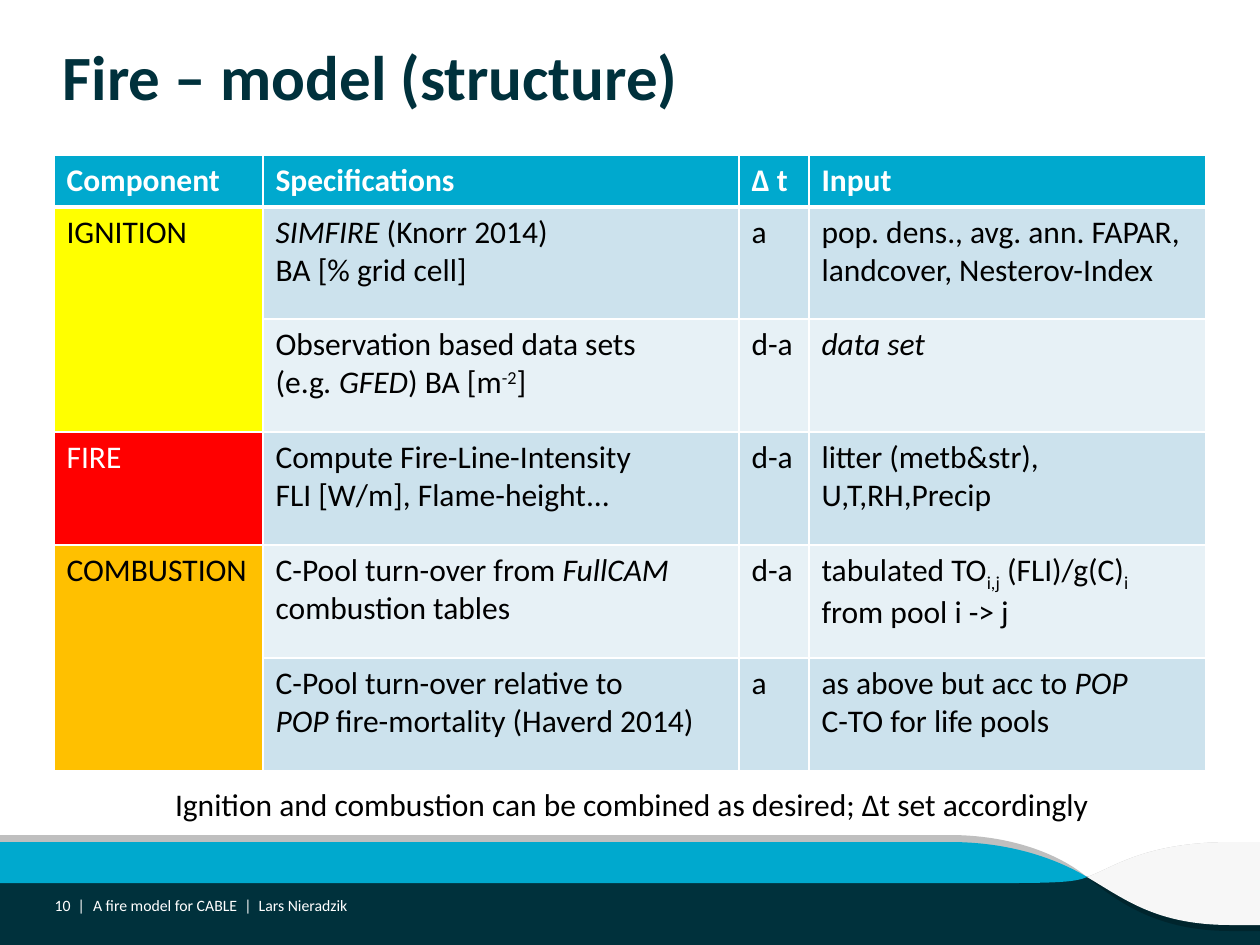
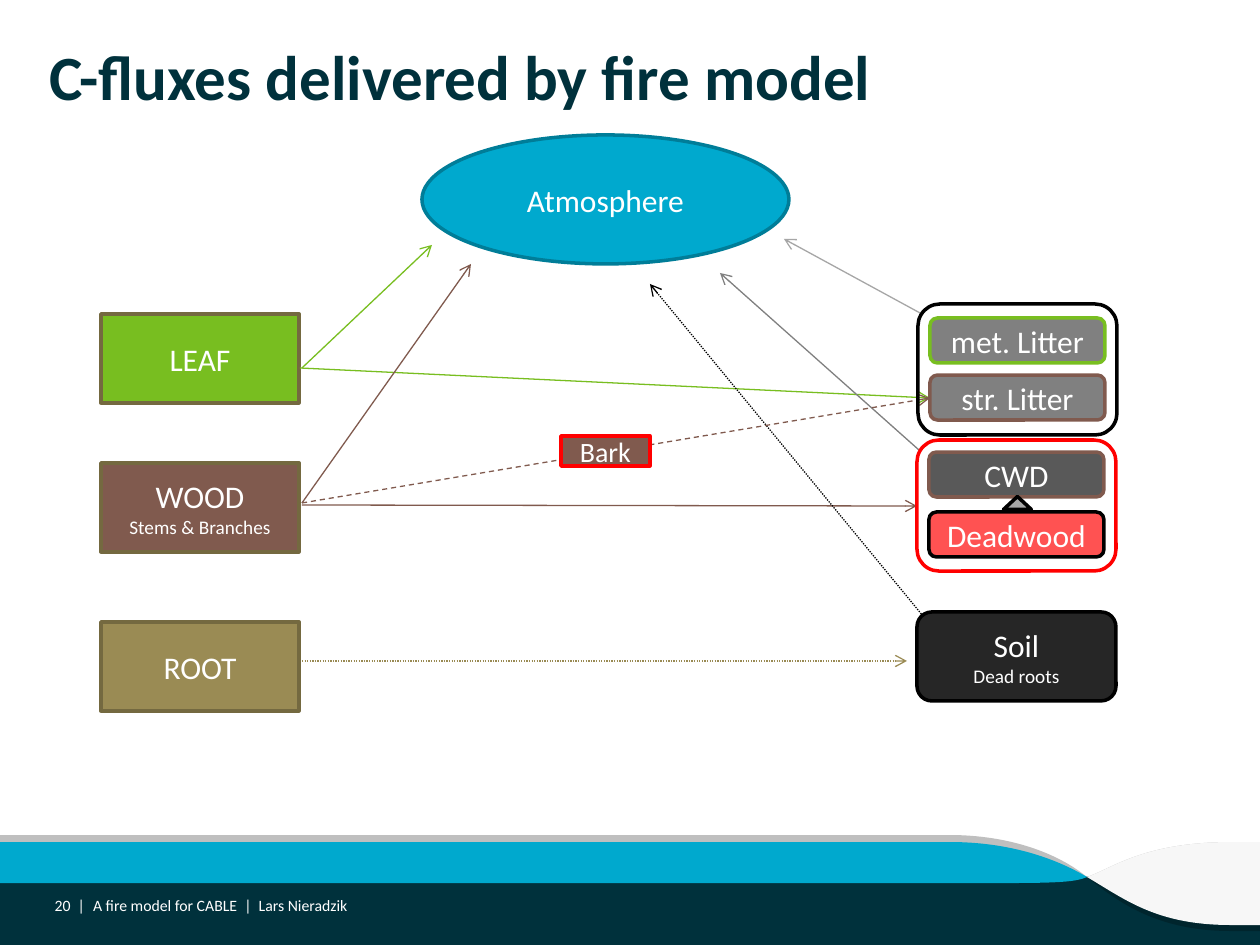
import dataclasses

import lxml.etree
import pptx
import pptx.dml.color
import pptx.enum.dml
import pptx.enum.shapes
import pptx.enum.text
import pptx.oxml.ns
import pptx.util

EMU_PER_PX = 914400 / 126
SLIDE_W, SLIDE_H = 1260, 945

SHAPE = pptx.enum.shapes.MSO_SHAPE
ALIGN = pptx.enum.text.PP_ALIGN
ANCHOR = pptx.enum.text.MSO_ANCHOR
DASH = pptx.enum.dml.MSO_LINE
qn = pptx.oxml.ns.qn


@dataclasses.dataclass(frozen=True)
class Theme:
    font: str = "Calibri"
    title_size: int = 36
    body_size: int = 18
    bark_size: int = 16
    detail_size: int = 11
    footer_size: int = 9
    outline: float = 2
    flow: float = 0.75
    navy: str = "00313C"
    deep_navy: str = "00252D"
    cyan: str = "00A9CE"
    dark_cyan: str = "007D98"
    band_shade: str = "BFBFBF"
    band_light: str = "F7F7F7"
    white: str = "FFFFFF"
    black: str = "000000"
    odd_row: str = "CCE2ED"
    even_row: str = "E7F1F6"
    yellow: str = "FFFF00"
    red: str = "FF0000"
    orange: str = "FFC000"
    leaf: str = "78BE20"
    wood: str = "805A4E"
    root: str = "9A8B54"
    plant_edge: str = "746940"
    litter: str = "808080"
    cwd: str = "595959"
    soil: str = "262626"
    pale_grey: str = "A6A6A6"


T = Theme()


def px(length):
    return pptx.util.Emu(round(length * EMU_PER_PX))


def rgb(code):
    return pptx.dml.color.RGBColor.from_string(code)


def write(frame, *lines, size=T.body_size, detail_size=None, color=T.black, bold=False,
          align=ALIGN.LEFT, anchor=ANCHOR.TOP, inset=None):
    """Each line is a string or a list of (text, style); style is "", "i", "sup" or "sub".

    detail_size applies to every line after the first.
    """
    frame.word_wrap = True
    frame.vertical_anchor = anchor
    if inset is not None:
        frame.margin_left = frame.margin_right = px(inset)
        frame.margin_top = frame.margin_bottom = px(inset)
    for index, line in enumerate(lines):
        paragraph = frame.add_paragraph() if index else frame.paragraphs[0]
        paragraph.alignment = align
        for text, style in [(line, "")] if isinstance(line, str) else line:
            run = paragraph.add_run()
            run.text = text
            font = run.font
            font.name = T.font
            font.size = pptx.util.Pt(detail_size if index and detail_size else size)
            font.bold = bold
            font.italic = style == "i"
            font.color.rgb = rgb(color)
            if style in ("sup", "sub"):
                font._element.set("baseline", "30000" if style == "sup" else "-25000")


def add_text(slide, box, *lines, **text_format):
    write(slide.shapes.add_textbox(*map(px, box)).text_frame, *lines, **text_format)


def paint(shape, fill=None, edge=None):
    shape.shadow.inherit = False
    if fill:
        shape.fill.solid()
        shape.fill.fore_color.rgb = rgb(fill)
    else:
        shape.fill.background()
    if edge:
        shape.line.color.rgb = rgb(edge)
        shape.line.width = pptx.util.Pt(T.outline)
    else:
        shape.line.fill.background()


def add_node(slide, kind, box, fill, edge, *lines, **text_format):
    node = slide.shapes.add_shape(kind, *map(px, box))
    paint(node, fill, edge)
    if lines:
        write(node.text_frame, *lines, align=ALIGN.CENTER, anchor=ANCHOR.MIDDLE,
              color=T.white, **text_format)
    return node


def set_opacity(shape, percent):
    color = shape.element.spPr.find(qn("a:solidFill"))[0]
    lxml.etree.SubElement(color, qn("a:alpha")).set("val", str(percent * 1000))


def add_flow(slide, start, end, color, dash=None):
    flow = slide.shapes.add_connector(pptx.enum.shapes.MSO_CONNECTOR.STRAIGHT,
                                      *map(px, start + end))
    flow.line.color.rgb = rgb(color)
    flow.line.width = pptx.util.Pt(T.flow)
    if dash:
        flow.line.dash_style = dash
    properties = flow.element.spPr
    lxml.etree.SubElement(properties.find(qn("a:ln")), qn("a:tailEnd")).set("type", "arrow")
    lxml.etree.SubElement(properties, qn("a:effectLst"))


def add_band(slide, fill, *contours):
    """A contour is a start point, then steps: one point for a line, three for a curve."""
    builder = None
    for start, *steps in contours:
        corner = [px(length) for length in start]
        if builder:
            builder.move_to(*corner)
        else:
            builder = slide.shapes.build_freeform(*corner)
        points = [(px(x), px(y)) for step in steps for x, y in step]
        builder.add_line_segments(points, close=True)
    band = builder.convert_to_shape()
    paint(band, fill)

    segments = iter(list(band.element.iter(qn("a:lnTo"))))
    for step in (step for contour in contours for step in contour[1:]):
        parts = [next(segments) for _ in step]
        if len(parts) == 3:
            bezier = lxml.etree.Element(qn("a:cubicBezTo"))
            parts[0].addprevious(bezier)
            for part in parts:
                bezier.append(part[0])
                part.getparent().remove(part)


def line(*points):
    return [[point] for point in points]


def add_bands(slide):
    crossing = (1087, 877)
    wing = [(1232, 842), [(1144, 842), (1113, 868), crossing]]
    tip = [(1058, 883), (1076, 882), crossing]
    add_node(slide, SHAPE.RECTANGLE, (0, 877, SLIDE_W, SLIDE_H - 877), T.navy, None)
    add_band(slide, T.band_shade,
             wing + line((SLIDE_W, 877), (SLIDE_W, 842)),
             [(0, 877), *line((0, 835), (950, 835)), [(1009, 835), (1058, 853), crossing]])
    add_band(slide, T.deep_navy,
             [(0, 877), *line((0, 883), (1002, 883)), tip],
             [crossing, [(1118, 902), (1157, 931), (1231, 931)],
              *line((SLIDE_W, 931), (SLIDE_W, 877))])
    add_band(slide, T.cyan,
             [crossing, [(1055, 858), (1009, 842), (950, 842)],
              *line((0, 842), (0, 883), (1002, 883)), tip])
    add_band(slide, T.band_light,
             wing + [[(1126, 900), (1157, 925), (1231, 925)],
                     *line((SLIDE_W, 925), (SLIDE_W, 842))])


def prepare_layout(deck):
    """Put the footer bands on the blank layout, so that every slide shows them."""
    layout = deck.slide_layouts[6]
    for placeholder in list(layout.placeholders):
        placeholder.element.getparent().remove(placeholder.element)
    first = deck.slides.add_slide(layout)
    add_bands(first)
    for band in list(first.shapes):
        layout.shapes._spTree.append(band.element)
    return layout, first


def fill_frame(slide, title, title_left, number):
    small = dict(size=T.footer_size, color=T.white, anchor=ANCHOR.MIDDLE, inset=0)
    add_text(slide, (93, 896, 838, 18), "A fire model for CABLE  |  Lars Nieradzik", **small)
    add_text(slide, (45, 896, 40, 18), f"{number}  |", align=ALIGN.RIGHT, **small)
    add_text(slide, (title_left, 38, 1134, 118), title, size=T.title_size,
             color=T.navy, bold=True, inset=0)


def set_borders(cell, **widths):
    """Draw white borders; the keywords L, R, T and B give widths in points."""
    properties = cell._tc.get_or_add_tcPr()
    for position, side in enumerate("LRTB"):
        border = lxml.etree.Element(qn(f"a:ln{side}"),
                                    w=str(pptx.util.Pt(widths.get(side, 1))))
        fill = lxml.etree.SubElement(border, qn("a:solidFill"))
        lxml.etree.SubElement(fill, qn("a:srgbClr")).set("val", T.white)
        properties.insert(position, border)


def fill_cell(cell, fill, *lines, borders=None, **text_format):
    cell.fill.solid()
    cell.fill.fore_color.rgb = rgb(fill)
    set_borders(cell, **(borders or {}))
    write(cell.text_frame, *lines, **text_format)


def add_component_table(slide):
    widths = (209, 476, 70, 397)
    heights = (52, 112, 113, 113, 113, 113)
    headings = ("Component", "Specifications", "Δ t", "Input")
    # Each row: specification lines, time step, input lines
    rows = (
        ([[("SIMFIRE", "i"), (" (Knorr 2014)", "")], "BA [% grid cell]"], "a",
         ["pop. dens., avg. ann. FAPAR, landcover, Nesterov-Index"]),
        (["Observation based data sets",
          [("(e.g", ""), (". GFED", "i"), (") BA [m", ""), ("-2", "sup"), ("]", "")]],
         "d-a", [[("data set", "i")]]),
        (["Compute Fire-Line-Intensity", "FLI [W/m], Flame-height..."], "d-a",
         ["litter (metb&str), U,T,RH,Precip"]),
        ([[("C-Pool turn-over from ", ""), ("FullCAM", "i")], "combustion tables"], "d-a",
         [[("tabulated TO", ""), ("i,j", "sub"), (" (FLI)/g(C)", ""), ("i", "sub")],
          "from pool i -> j"]),
        (["C-Pool turn-over relative to",
          [("POP", "i"), (" fire-mortality (Haverd 2014)", "")]], "a",
         [[("as above but acc to ", ""), ("POP", "i")], "C-TO for life pools"]),
    )
    # Each component: first row, last row, fill, text colour
    components = {"IGNITION": (1, 2, T.yellow, T.black),
                  "FIRE": (3, 3, T.red, T.white),
                  "COMBUSTION": (4, 5, T.orange, T.black)}

    table = slide.shapes.add_table(len(heights), len(widths), px(54), px(155),
                                   px(sum(widths)), px(sum(heights))).table
    for column, width in zip(table.columns, widths):
        column.width = px(width)
    for row, height in zip(table.rows, heights):
        row.height = px(height)

    for column, heading in enumerate(headings):
        fill_cell(table.cell(0, column), T.cyan, heading, color=T.white, bold=True,
                  borders={"B": 3})
    for index, (specification, step, inputs) in enumerate(rows, 1):
        fill = T.odd_row if index % 2 else T.even_row
        borders = {"T": 3} if index == 1 else {}
        for column, lines in enumerate((specification, [step], inputs), 1):
            fill_cell(table.cell(index, column), fill, *lines, borders=borders)
    for name, (first, last, fill, color) in components.items():
        for index in range(first, last + 1):
            fill_cell(table.cell(index, 0), fill, *([name] if index == first else []),
                      color=color, borders={"T": 3} if index == 1 else {})
        if last > first:
            table.cell(first, 0).merge(table.cell(last, 0))


def add_plant_pools(slide):
    pools = ((314, T.leaf, ["LEAF"]), (622, T.root, ["ROOT"]),
             (463, T.wood, ["WOOD", "Stems & Branches"]))
    for top, fill, lines in pools:
        add_node(slide, SHAPE.RECTANGLE, (101, top, 198, 89), fill, T.plant_edge, *lines,
                 detail_size=T.detail_size)


def add_fluxes(slide):
    wood, structural = (302, 503), (930, 398)
    add_flow(slide, (300, 368), structural, T.leaf)
    add_flow(slide, (302, 368), (432, 245), T.leaf)
    add_flow(slide, wood, (471, 264), T.wood)
    add_flow(slide, (302, 505), (917, 506), T.wood)
    add_flow(slide, (302, 661), (907, 661), T.root, DASH.ROUND_DOT)
    add_flow(slide, (919, 450), (720, 273), T.litter)
    add_flow(slide, (920, 313), (784, 239), T.pale_grey)
    add_flow(slide, (923, 616), (650, 284), T.black, DASH.ROUND_DOT)
    add_flow(slide, wood, structural, T.wood, DASH.DASH)


def add_dead_pools(slide):
    rounded = SHAPE.ROUNDED_RECTANGLE

    def add_pool(left, top, fill, edge, name):
        return add_node(slide, rounded, (left, top, 175, 45), fill, edge, name)

    add_pool(930, 318, T.litter, T.leaf, "met. Litter")
    add_pool(930, 375, T.litter, T.wood, "str. Litter")
    add_pool(929, 452, T.cwd, T.wood, "CWD")
    set_opacity(add_pool(929, 512, T.red, T.black, "Deadwood"), 68)
    for left, top, edge in ((918, 304, T.black), (917, 440, T.red)):
        add_node(slide, rounded, (left, top, 199, 131), None, edge)
    add_node(slide, rounded, (917, 612, 199, 89), T.soil, T.black, "Soil", "Dead roots",
             detail_size=T.detail_size)
    decay = add_node(slide, SHAPE.RIGHT_ARROW, (1011, 489, 13, 28), T.pale_grey, T.black)
    decay.adjustments[0], decay.adjustments[1] = 0.5, 1
    decay.rotation = 270


def main():
    deck = pptx.Presentation()
    deck.slide_width, deck.slide_height = px(SLIDE_W), px(SLIDE_H)
    layout, structure = prepare_layout(deck)

    fill_frame(structure, "Fire – model (structure)", 63, 10)
    add_component_table(structure)
    add_text(structure, (61, 779, 1142, 50),
             "Ignition and combustion can be combined as desired; Δt set accordingly",
             align=ALIGN.CENTER)

    fluxes = deck.slides.add_slide(layout)
    fill_frame(fluxes, "C-fluxes delivered by fire model", 50, 20)
    add_plant_pools(fluxes)
    add_node(fluxes, SHAPE.OVAL, (422, 135, 367, 129), T.cyan, T.dark_cyan, "Atmosphere")
    add_fluxes(fluxes)
    add_node(fluxes, SHAPE.RECTANGLE, (561, 436, 89, 30), T.wood, T.red, "Bark",
             size=T.bark_size)
    add_dead_pools(fluxes)

    deck.save("out.pptx")


if __name__ == "__main__":
    main()
